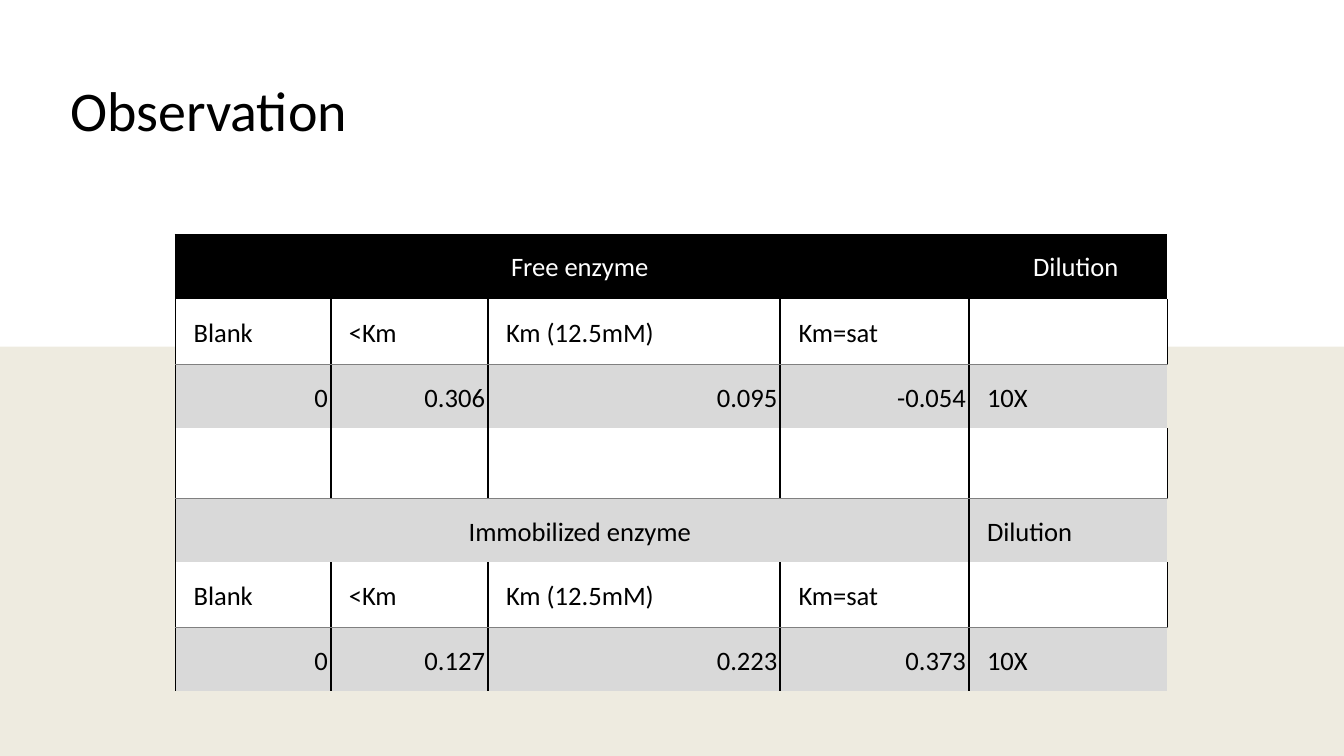
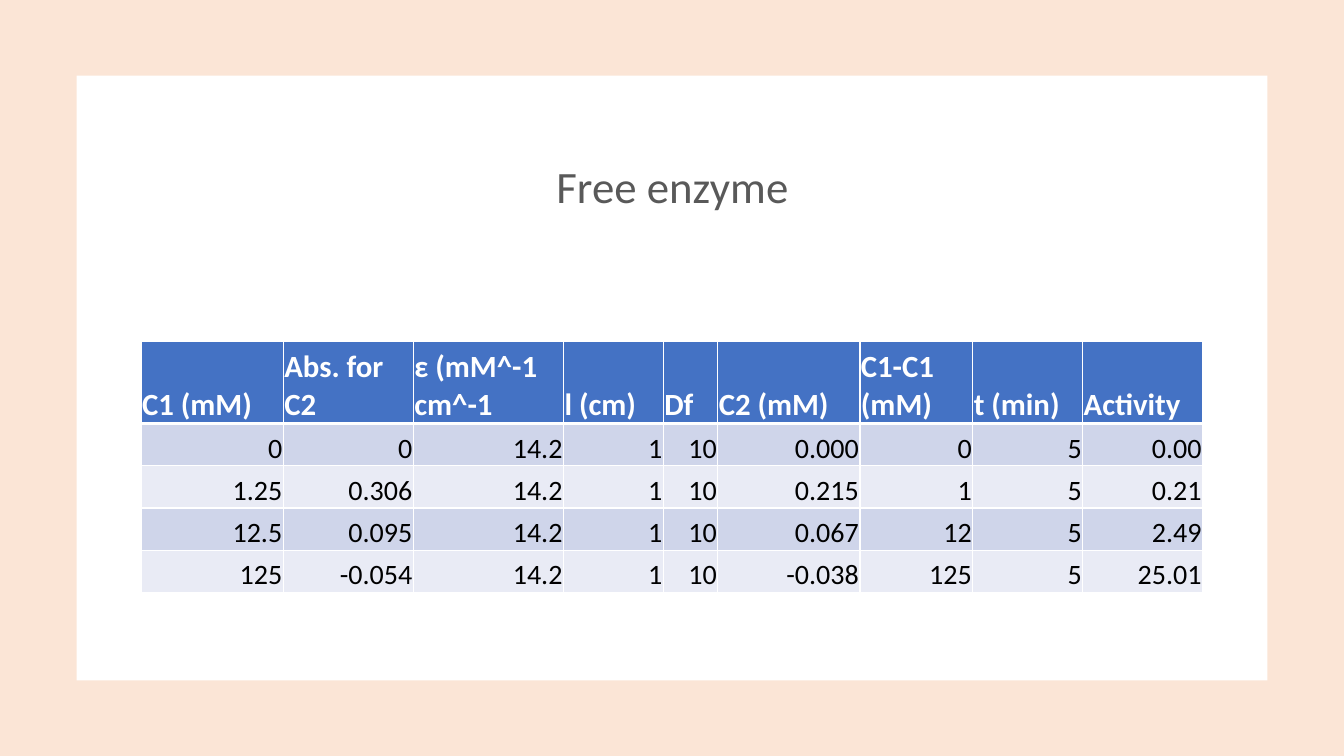
from lxml.etree import SubElement
from pptx import Presentation
from pptx.dml.color import RGBColor
from pptx.enum.shapes import MSO_SHAPE as Shape
from pptx.enum.text import MSO_ANCHOR as Anchor, PP_ALIGN as Align
from pptx.oxml.ns import qn
from pptx.util import Inches, Pt

BLACK = RGBColor(0x00, 0x00, 0x00)
WHITE = RGBColor(0xFF, 0xFF, 0xFF)
CHARCOAL = RGBColor(0x59, 0x59, 0x59)
GREY = RGBColor(0x80, 0x80, 0x80)
LIGHT_GREY = RGBColor(0xD9, 0xD9, 0xD9)
PALE_GREY = RGBColor(0xF2, 0xF2, 0xF2)
OCHRE = RGBColor(0xBF, 0x90, 0x00)
PEACH = RGBColor(0xFB, 0xE5, 0xD6)
BLUE = RGBColor(0x44, 0x72, 0xC4)
BAND_DARK = RGBColor(0xCF, 0xD5, 0xEA)
BAND_LIGHT = RGBColor(0xE9, 0xEB, 0xF5)
FONT = "Calibri"
WIDTH, HEIGHT = 13.33, 7.5


def write(para, text, align, **font):
    para.alignment = align
    span = para.add_run()
    span.text = text
    span.font.name = FONT
    span.font.color.rgb = font.pop("color")
    for name, value in font.items():
        setattr(span.font, name, value)


def style_cell(cell, fill, insets, anchor, borders):
    """Borders map a side (L, R, T, B) to (colour, points); other sides get no line."""
    for side, inset in zip(("left", "top", "right", "bottom"), insets):
        setattr(cell, f"margin_{side}", Inches(inset))
    cell.vertical_anchor = anchor
    properties = cell._tc.get_or_add_tcPr()
    for side in "LRTB":
        line = SubElement(properties, qn(f"a:ln{side}"))
        if side in borders:
            color, points = borders[side]
            line.set("w", str(Pt(points)))
            solid = SubElement(line, qn("a:solidFill"))
            SubElement(solid, qn("a:srgbClr"), val=str(color))
        else:
            SubElement(line, qn("a:noFill"))
    cell.fill.solid()
    cell.fill.fore_color.rgb = fill


deck = Presentation()
deck.slide_width, deck.slide_height = Inches(WIDTH), Inches(HEIGHT)

# Each slide: background panels (place, colour, opacity), title and table
FULL = (0, 0, WIDTH, HEIGHT)
slides = [
    {
        "panels": [(FULL, PALE_GREY, 100), (FULL, OCHRE, 7),
                   ((0, 0, WIDTH, 3.44), WHITE, 100)],
        "title": ("Observation", (0.6, 0.4, 12.13, 1.45), Align.LEFT, 40, BLACK),
        "table_at": (1.74, 2.33),
        "columns": [1.54, 1.56, 2.9, 1.87, 1.97],
        "heights": [0.64, 0.64, 0.64, 0.69, 0.64, 0.64, 0.64],
    },
    {
        "panels": [(FULL, PEACH, 100), ((0.76, 0.75, 11.81, 6), WHITE, 100)],
        "title": ("Free enzyme", (1.59, 1.13, 10.16, 1.5), Align.CENTER, 32, CHARCOAL),
        "table_at": (1.4, 3.39),
        "columns": [1.41, 1.29, 1.49, 0.99, 0.54, 1.41, 1.12, 1.09, 1.19],
        "heights": [0.81] + [0.42] * 4,
    },
]
tables = []
for slide in slides:
    page = deck.slides.add_slide(deck.slide_layouts[6])
    for place, color, opacity in slide["panels"]:
        panel = page.shapes.add_shape(Shape.RECTANGLE, *map(Inches, place))
        panel.shadow.inherit = False
        panel.line.fill.background()
        panel.fill.solid()
        panel.fill.fore_color.rgb = color
        if opacity < 100:
            tint = panel._element.spPr.find(".//" + qn("a:srgbClr"))
            SubElement(tint, qn("a:alpha"), val=str(opacity * 1000))

    text, place, align, size, color = slide["title"]
    box = page.shapes.add_textbox(*map(Inches, place))
    box.text_frame.word_wrap = True
    box.text_frame.vertical_anchor = Anchor.MIDDLE
    title = box.text_frame.paragraphs[0]
    title.line_spacing = 0.9
    write(title, text, align, size=Pt(size), color=color)

    columns, heights = slide["columns"], slide["heights"]
    extent = (*slide["table_at"], sum(columns), sum(heights))
    table = page.shapes.add_table(len(heights), len(columns), *map(Inches, extent)).table
    table.first_row = table.horz_banding = False
    for column, width in zip(table.columns, columns):
        column.width = Inches(width)
    for row, height in zip(table.rows, heights):
        row.height = Inches(height)
    tables.append(table)

observations, activities = tables

# Observation table: merged section headings, grey rows alternating with white
LABELS = ["Blank", "<Km", "Km (12.5mM)", "Km=sat", ""]
readings = [
    ["Free enzyme", "", "", "", "Dilution"],
    LABELS,
    ["0", "0.306", "0.095", "-0.054", "10X"],
    [""] * 5,
    ["Immobilized enzyme", "", "", "", "Dilution"],
    LABELS,
    ["0", "0.127", "0.223", "0.373", "10X"],
]
for heading in (0, 4):
    observations.cell(heading, 0).merge(observations.cell(heading, 3))
OUTLINE, RULE = (BLACK, 1.5), (GREY, 0.5)
for r, values in enumerate(readings):
    for c, text in enumerate(values):
        cell = observations.cell(r, c)
        if cell.is_spanned:
            continue
        is_last = c == len(values) - 1
        if r == 0:
            fill, borders = BLACK, {"T": OUTLINE}
            if c == 0:
                borders["L"] = OUTLINE
        elif r % 2:
            fill, borders = WHITE, {"L": OUTLINE, "R": OUTLINE, "B": RULE}
        else:
            fill, borders = LIGHT_GREY, {"L": OUTLINE, "T": RULE}
            if not is_last:
                borders["R"] = OUTLINE
        style_cell(cell, fill, (0.18, 0.14, 0.03, 0.14),
                   Anchor.BOTTOM if r else Anchor.MIDDLE, borders)
        if r == 0 or cell.is_merge_origin:
            align = Align.CENTER
        elif r % 2 == 0 and not is_last:
            align = Align.RIGHT
        else:
            align = Align.LEFT
        if text:
            write(cell.text_frame.paragraphs[0], text, align,
                  size=Pt(19), color=BLACK if r else WHITE)

# Activity table: blue heading row over banded figures
results = [
    ["C1 (mM)", "Abs. for C2", "ε (mM^-1 cm^-1", "l (cm)", "Df", "C2 (mM)",
     "C1-C1 (mM)", "t (min)", "Activity"],
    ["0", "0", "14.2", "1", "10", "0.000", "0", "5", "0.00"],
    ["1.25", "0.306", "14.2", "1", "10", "0.215", "1", "5", "0.21"],
    ["12.5", "0.095", "14.2", "1", "10", "0.067", "12", "5", "2.49"],
    ["125", "-0.054", "14.2", "1", "10", "-0.038", "125", "5", "25.01"],
]
HEADING = {"size": Pt(22), "color": WHITE, "bold": True}
FIGURE = {"size": Pt(20), "color": BLACK, "bold": False}
for r, values in enumerate(results):
    borders = dict.fromkeys("LRTB", (WHITE, 1))
    if r < 2:
        borders["T" if r else "B"] = (WHITE, 3)
    fill = BLUE if r == 0 else BAND_DARK if r % 2 else BAND_LIGHT
    for c, text in enumerate(values):
        cell = activities.cell(r, c)
        style_cell(cell, fill, (0.01, 0.01, 0.01, 0), Anchor.BOTTOM, borders)
        write(cell.text_frame.paragraphs[0], text,
              Align.RIGHT if r else Align.LEFT, **(FIGURE if r else HEADING))

deck.save("out.pptx")
